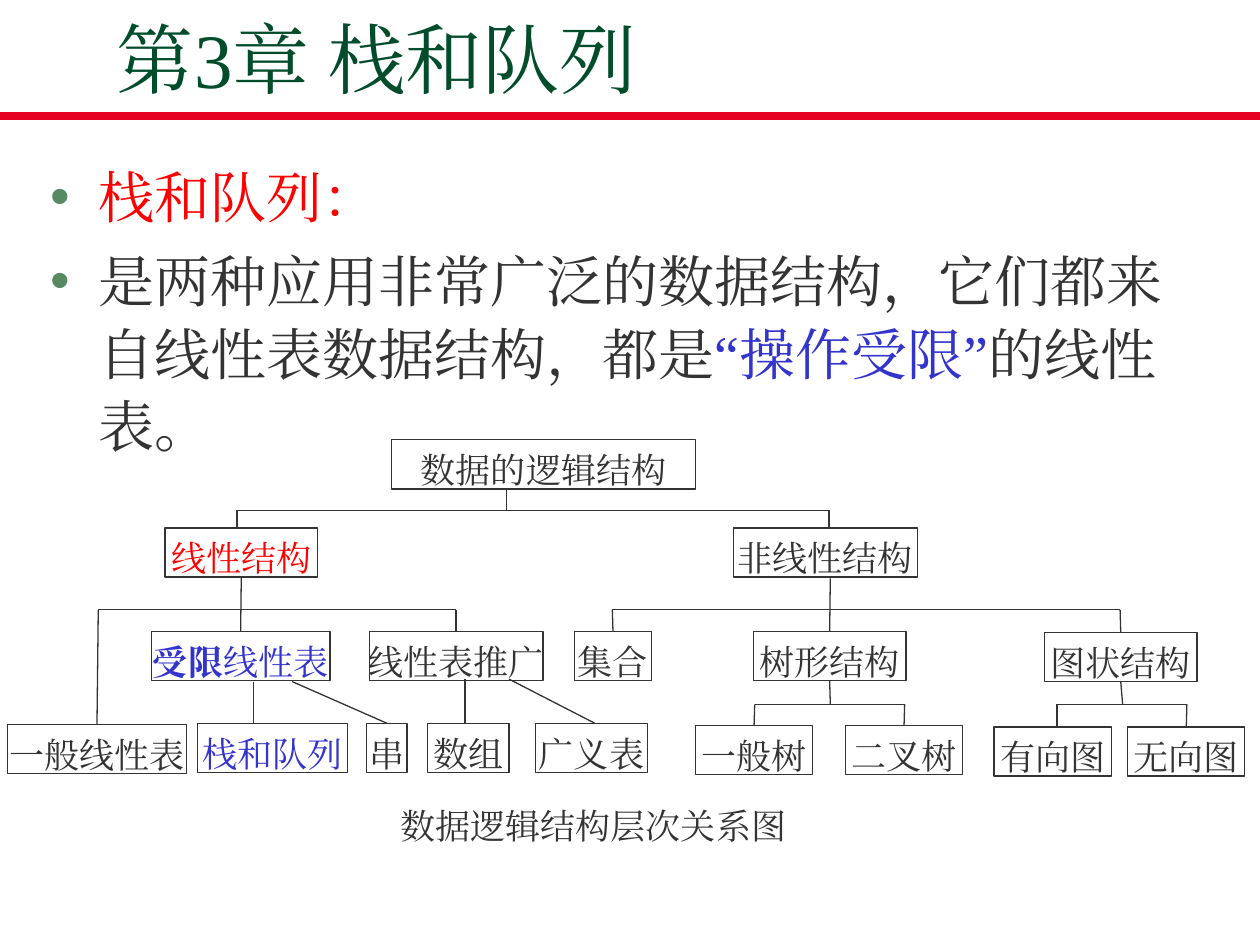
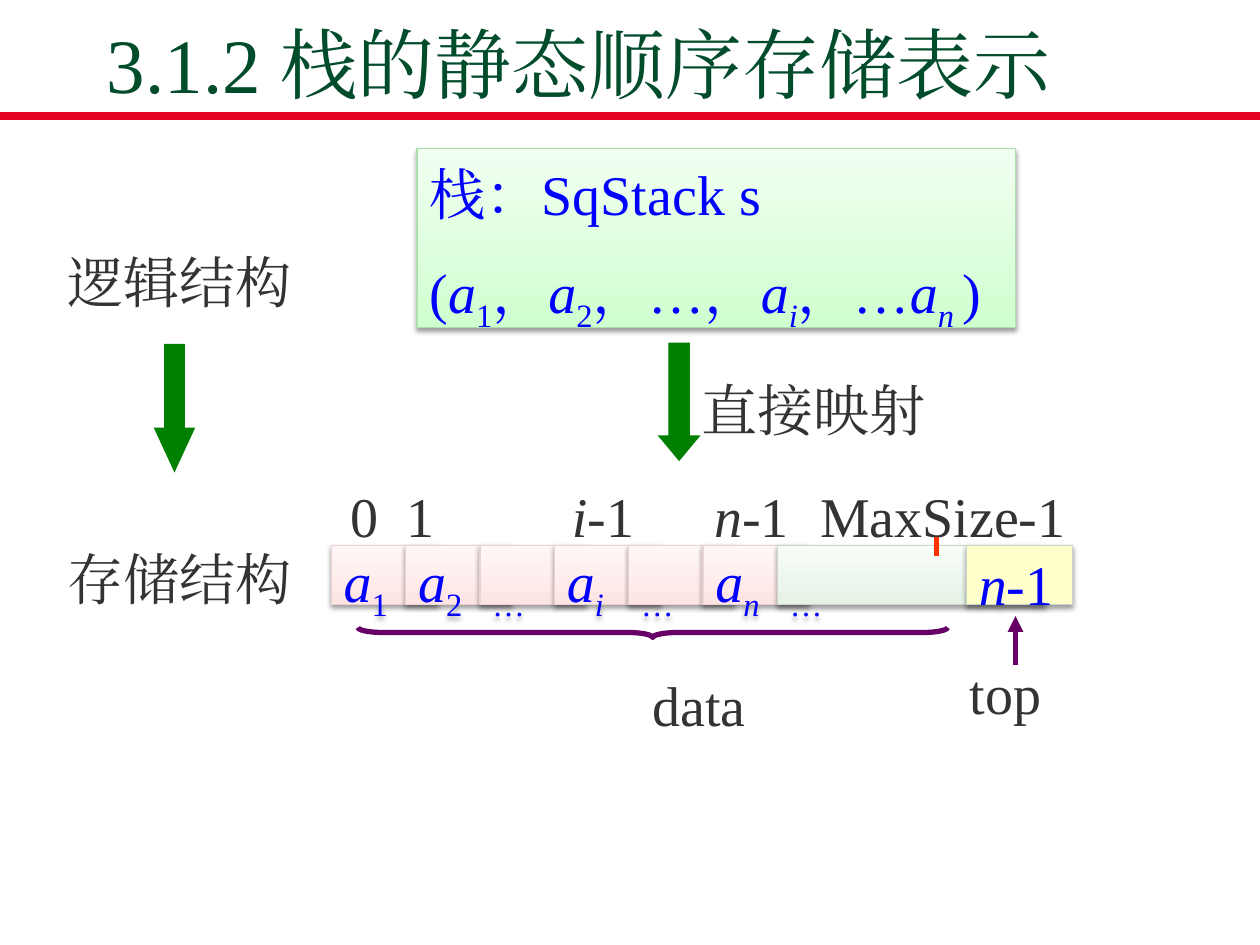
from lxml.etree import SubElement
from pptx import Presentation
from pptx.dml.color import RGBColor
from pptx.enum.shapes import MSO_CONNECTOR, MSO_SHAPE
from pptx.enum.text import MSO_ANCHOR, PP_ALIGN
from pptx.oxml.ns import qn
from pptx.util import Inches, Pt

HUES = {
    "title": "004C2B", "band": "E60223", "ink": "333333", "red": "FF0000",
    "blue": "3333CD", "code": "0000FF", "dot": "578963", "arrow": "008000",
    "plum": "660066", "tick": "FF3300", "cream": "FFFFCC",
    "mint": "CFFFCF", "mint_top": "F1FFF1", "mint_edge": "AEDDAE",
    "rose": "FFE4E4", "rose_top": "FFF7F7", "rose_edge": "E9D3D3",
    "sage": "E5F2E5", "sage_top": "F7FCF7", "sage_edge": "CCD6CC",
}
SERIF, SANS = "Times New Roman", "Noto Sans CJK SC"


def hue(name):
    return RGBColor.from_string(HUES[name])


def bullet(para):
    props = para._p.get_or_add_pPr()
    props.set("marL", str(Inches(0.38)))
    props.set("indent", str(-Inches(0.38)))
    tint = SubElement(props, qn("a:buClr"))
    SubElement(tint, qn("a:srgbClr"), val=HUES["dot"])
    SubElement(props, qn("a:buFont"), typeface="Arial")
    SubElement(props, qn("a:buChar"), char="•")


def write(frame, paras, size=32, color="ink", font=SERIF, align=PP_ALIGN.LEFT,
          anchor=MSO_ANCHOR.TOP, wrap=True, lead=1.25, gap=6.4, dots=False):
    frame.word_wrap = wrap
    frame.vertical_anchor = anchor
    for index, runs in enumerate(paras):
        para = frame.add_paragraph() if index else frame.paragraphs[0]
        if dots:
            bullet(para)
        para.alignment = align
        para.line_spacing = lead
        para.space_before = Pt(gap if index else 0)
        for text, marks, *tint in runs:
            run = para.add_run()
            run.text = text
            run.font.size = Pt(size)
            run.font.name = font
            run.font.bold = "b" in marks
            run.font.italic = "i" in marks
            run.font.color.rgb = hue(tint[0] if tint else color)
            props = run._r.get_or_add_rPr()
            if "s" in marks:
                props.set("baseline", "-25000")
            SubElement(props, qn("a:ea"), typeface=SERIF)


class Deck:
    def __init__(self):
        self.file = Presentation()
        self.file.slide_width, self.file.slide_height = Inches(10), Inches(7.5)

    def page(self, title, left, top, height, anchor):
        self.slide = self.file.slides.add_slide(self.file.slide_layouts[6])
        self.boxes = []
        self.line(0, 0.92, 10, 0.92, "band", 4.5)
        self.text(left, top, 8.5, height, [[(title, "")]], size=44,
                  color="title", anchor=anchor, lead=1.0)

    def text(self, left, top, width, height, paras, **style):
        box = self.slide.shapes.add_textbox(*map(Inches, (left, top, width, height)))
        write(box.text_frame, paras, **style)

    def label(self, left, top, width, *runs):
        self.text(left, top, width, 0.75, [runs])

    def shape(self, kind, left, top, width, height, fill=None, edge=None, weight=0.75):
        item = self.slide.shapes.add_shape(kind, *map(Inches, (left, top, width, height)))
        item.shadow.inherit = False
        if fill:
            item.fill.solid()
            item.fill.fore_color.rgb = hue(fill)
        else:
            item.fill.background()
        if edge:
            item.line.color.rgb = hue(edge)
            item.line.width = Pt(weight)
        else:
            item.line.fill.background()
        return item

    def node(self, left, top, width, *runs):
        item = self.shape(MSO_SHAPE.RECTANGLE, left, top, width, 0.39, edge="ink")
        write(item.text_frame, [runs], size=20, align=PP_ALIGN.CENTER,
              anchor=MSO_ANCHOR.MIDDLE, wrap=False)
        self.boxes.append(item)

    def panel(self, left, top, width, height, tone, paras, wrap=True, flat=None):
        item = self.shape(MSO_SHAPE.RECTANGLE, left, top, width, height, flat, tone + "_edge")
        if not flat:
            item.fill.gradient()
            item.fill.gradient_angle = 90
            for stop, name in zip(item.fill.gradient_stops, (tone, tone + "_top")):
                stop.color.rgb = hue(name)
        effects = item._element.spPr.find(qn("a:effectLst"))
        shade = SubElement(effects, qn("a:outerShdw"), blurRad=str(Pt(3.1)),
                           dist=str(Pt(1.6)), dir="5400000", rotWithShape="0")
        black = SubElement(shade, qn("a:srgbClr"), val="000000")
        SubElement(black, qn("a:alpha"), val="38000")
        write(item.text_frame, paras, color="code", anchor=MSO_ANCHOR.MIDDLE, wrap=wrap)

    def join(self, x, y, connect):
        near = Inches(0.02)
        for box in self.boxes:
            middle = box.left + box.width // 2
            for site, side in ((0, box.top), (2, box.top + box.height)):
                if abs(Inches(x) - middle) <= near and abs(Inches(y) - side) <= near:
                    connect(box, site)

    def line(self, x1, y1, x2, y2, color="ink", weight=0.75, arrow=False):
        item = self.slide.shapes.add_connector(
            MSO_CONNECTOR.STRAIGHT, *map(Inches, (x1, y1, x2, y2)))
        item.line.color.rgb = hue(color)
        item.line.width = Pt(weight)
        if arrow:
            SubElement(item.line._get_or_add_ln(), qn("a:tailEnd"), type="triangle")
        SubElement(item._element.spPr, qn("a:effectLst"))
        self.join(x1, y1, item.begin_connect)
        self.join(x2, y2, item.end_connect)

    def fork(self, bar, feet, stem, top, low):
        self.line(feet[0][0], bar, feet[-1][0], bar)
        self.line(stem, top, stem, low)
        for x, foot in feet:
            self.line(x, bar, x, foot)

    def arrow(self, left, top, width, height, head):
        item = self.shape(MSO_SHAPE.DOWN_ARROW, left, top, width, height, "arrow")
        item.adjustments[0], item.adjustments[1] = 0.5, head


def tree(deck):
    deck.page("第3章 栈和队列", 0.83, 0.17, 0.58, MSO_ANCHOR.MIDDLE)
    deck.text(0.3, 1.2, 9.22, 2.38, [
        [("栈和队列：", "", "red")],
        [("是两种应用非常广泛的数据结构，它们都来自线性表数据结构，都是", ""),
         ("“操作受限”", "", "blue"), ("的线性表。", "")],
    ], font=SANS, lead=1.08, dots=True)
    for left, top, width, *run in (
        (3.11, 3.49, 2.41, "数据的逻辑结构", ""),
        (1.31, 4.19, 1.21, "线性结构", "", "red"),
        (5.82, 4.19, 1.46, "非线性结构", ""),
        (2.93, 5.01, 1.38, "线性表推广", ""),
        (4.56, 5.01, 0.61, "集合", ""),
        (5.98, 5.01, 1.21, "树形结构", ""),
        (8.29, 5.02, 1.21, "图状结构", ""),
        (0.06, 5.75, 1.42, "一般线性表", ""),
        (1.57, 5.74, 1.19, "栈和队列", "", "blue"),
        (2.91, 5.74, 0.32, "串", ""),
        (3.39, 5.74, 0.65, "数组", ""),
        (4.25, 5.74, 0.89, "广义表", ""),
        (5.52, 5.76, 0.93, "一般树", ""),
        (6.71, 5.76, 0.93, "二叉树", ""),
        (7.89, 5.77, 0.93, "有向图", ""),
        (8.95, 5.77, 0.93, "无向图", ""),
    ):
        deck.node(left, top, width, run)
    deck.node(1.2, 5.01, 1.42, ("受限", "b", "blue"), ("线性表", "", "blue"))

    deck.fork(4.05, [(1.88, 4.2), (6.58, 4.2)], 4.02, 3.89, 4.05)
    deck.fork(4.84, [(0.78, 5.76), (3.62, 5.01)], 1.92, 4.59, 5.01)
    deck.fork(4.84, [(4.86, 5.02), (8.89, 5.02)], 6.59, 4.59, 5.01)
    deck.fork(5.59, [(5.99, 5.76), (7.18, 5.76)], 6.59, 5.41, 5.59)
    deck.fork(5.59, [(8.39, 5.76), (9.42, 5.76)], 8.91, 5.42, 5.59)
    for start, top, end in ((2.01, 5.41, 2.01), (2.32, 5.41, 3.09),
                            (3.69, 5.39, 3.69), (4.04, 5.39, 4.72)):
        deck.line(start, top, end, 5.74)
    deck.text(2.34, 6.3, 4.74, 0.5, [[("数据逻辑结构层次关系图", "")]], size=20,
              font=SANS, align=PP_ALIGN.CENTER, anchor=MSO_ANCHOR.MIDDLE, lead=1.0)


def stack(deck):
    deck.page("3.1.2 栈的静态顺序存储表示", 0.75, 0.26, 0.65, MSO_ANCHOR.BOTTOM)
    deck.panel(3.31, 1.18, 4.75, 1.42, "mint", [
        [("栈：SqStack s", "")],
        [("(", ""), ("a", "i"), ("1", "s"), ("，", ""), ("a", "i"), ("2", "s"),
         ("，…，", ""), ("a", "i"), ("i", "is"), ("，…", ""), ("a", "i"),
         ("n ", "is"), (")", "")],
    ], wrap=False)
    deck.arrow(5.22, 2.72, 0.34, 0.94, 0.6)
    deck.arrow(1.22, 2.73, 0.33, 1.02, 1.08)

    dots = [("…", "s")]
    cells = ([("a", "i"), ("1", "s")], [("a", "i"), ("2", "s")], dots,
             [("a", "i"), ("i", "is")], dots, [("a", "i"), ("n", "is")])
    for index, runs in enumerate(cells):
        deck.panel(2.63 + 0.59 * index, 4.33, 0.84, 0.47, "rose", [runs], wrap=False)
    deck.panel(6.17, 4.33, 2.12, 0.47, "sage", [dots], wrap=False)
    last = [("n", "i"), ("-1", "")]
    deck.panel(7.67, 4.33, 0.84, 0.47, "sage", [last], wrap=False, flat="cream")

    for left, top, width, text in (
        (5.47, 2.8, 2.12, "直接映射"), (6.41, 3.64, 2.35, "MaxSize-1"),
        (2.68, 3.64, 0.78, "0"), (3.13, 3.64, 0.78, "1"),
        (5.08, 5.14, 0.97, "data"), (7.6, 5.04, 1.23, "top"),
        (0.44, 1.78, 2.68, "逻辑结构"), (0.44, 4.14, 2.68, "存储结构"),
    ):
        deck.label(left, top, width, (text, ""))
    deck.label(4.44, 3.64, 0.89, ("i", "i"), ("-1", ""))
    deck.label(5.57, 3.64, 1, *last)

    deck.line(7.43, 4.26, 7.43, 4.41, "tick", 3)
    brace = deck.shape(MSO_SHAPE.RIGHT_BRACE, 5.14, 2.68, 0.08, 4.68, edge="plum", weight=3)
    brace.rotation = 90
    brace.adjustments[0], brace.adjustments[1] = 2.49, 0.5
    deck.line(8.06, 5.28, 8.06, 4.89, "plum", 3, arrow=True)


def main():
    deck = Deck()
    tree(deck)
    stack(deck)
    deck.file.save("out.pptx")


if __name__ == "__main__":
    main()
